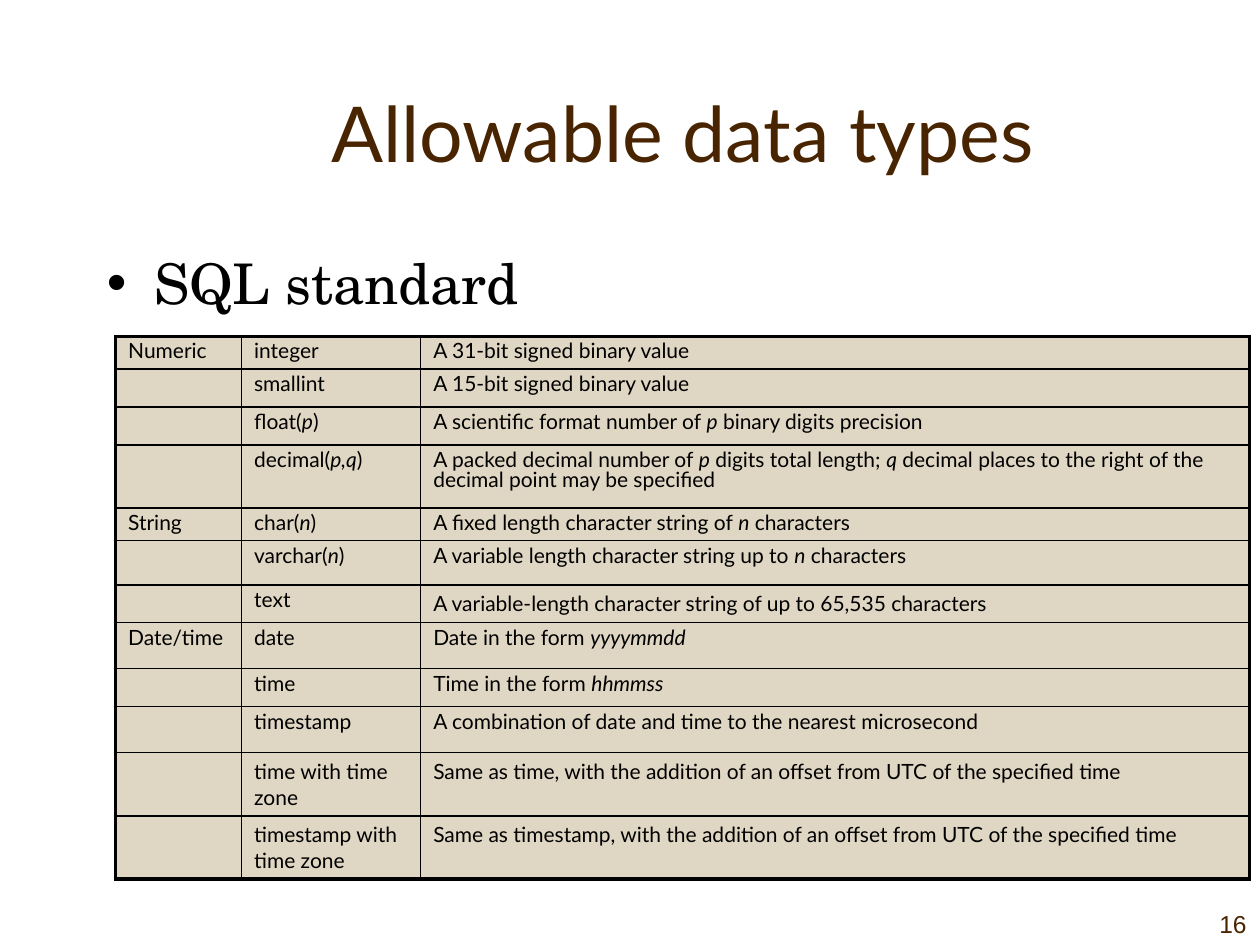
from typing import NamedTuple

import lxml.etree
import pptx
import pptx.dml.color
import pptx.enum.text
import pptx.oxml
import pptx.oxml.ns
import pptx.util

Cm = pptx.util.Cm
Pt = pptx.util.Pt
qn = pptx.oxml.ns.qn

BROWN = "482400"
BLACK = "000000"
SAND = "DFD6C3"
THIN, THICK = 1, 2.25
COLUMN_WIDTHS = (2.54, 3.61, 16.71)


class DataType(NamedTuple):
    family: str
    syntax: str
    meaning: str
    height: float
    loose: tuple[bool, bool] = (False, False)


DATA_TYPES = [
    DataType("Numeric", "integer", "A 31-bit signed binary value", 0.66),
    DataType("", "smallint", "A 15-bit signed binary value", 0.75),
    DataType("", "float(*p*)", "A scientific format number of *p* binary digits precision", 0.75),
    DataType("", "decimal(*p,q*)",
             "A packed decimal number of *p* digits total length; *q* decimal places "
             "to the right of the decimal point may be specified", 1.27),
    DataType("String", "char(*n*)", "A fixed length character string of *n* characters", 0.66),
    DataType("", "varchar(*n*)", "A variable length character string up to *n* characters", 0.89),
    DataType("", "text", "A variable-length character string of up to 65,535 characters",
             0.75, (False, True)),
    DataType("Date/time", "date", "Date in the form *yyyymmdd*", 0.93),
    DataType("", "time", "Time in the form *hhmmss*", 0.75),
    DataType("", "timestamp", "A combination of date and time to the nearest microsecond", 0.93),
    DataType("", "time with time zone",
             "Same as time, with the addition of an offset from UTC of the specified time",
             1.27, (True, True)),
    DataType("", "timestamp with time zone",
             "Same as timestamp, with the addition of an offset from UTC of the specified time",
             1.27, (True, True)),
]


def colour(value: str) -> pptx.dml.color.RGBColor:
    return pptx.dml.color.RGBColor.from_string(value)


def set_font(paragraph, name: str, size: float, value: str) -> None:
    paragraph.font.name = name
    paragraph.font.size = Pt(size)
    paragraph.font.color.rgb = colour(value)


def place(shape, left: float, top: float, width: float, height: float) -> None:
    shape.left, shape.top = Cm(left), Cm(top)
    shape.width, shape.height = Cm(width), Cm(height)


def add_borders(cell, widths: dict[str, float]) -> None:
    properties = cell._tc.get_or_add_tcPr()
    for side, width in widths.items():
        line = lxml.etree.SubElement(properties, qn(f"a:{side}"), w=str(int(Pt(width))))
        fill = lxml.etree.SubElement(line, qn("a:solidFill"))
        lxml.etree.SubElement(fill, qn("a:srgbClr"), val=BLACK)


def write_cell(cell, text: str, before: float, spacing: float) -> None:
    paragraph = cell.text_frame.paragraphs[0]
    if not text:
        lxml.etree.SubElement(paragraph._p, qn("a:endParaRPr"), sz="1200")
        return
    set_font(paragraph, "Lato", 12, BLACK)
    paragraph.space_before = Pt(before)
    paragraph.line_spacing = spacing
    for position, part in enumerate(text.split("*")):
        if part:
            run = paragraph.add_run()
            run.text = part
            if position % 2:
                run.font.italic = True


def add_type_table(slide, data_types: list[DataType]) -> None:
    last_row, last_column = len(data_types) - 1, len(COLUMN_WIDTHS) - 1
    table = slide.shapes.add_table(
        len(data_types), len(COLUMN_WIDTHS), Cm(2.33), Cm(6.78),
        Cm(sum(COLUMN_WIDTHS)), Cm(sum(item.height for item in data_types))).table
    table.first_row = False
    table.horz_banding = False
    for column, width in zip(table.columns, COLUMN_WIDTHS):
        column.width = Cm(width)
    for r, item in enumerate(data_types):
        table.rows[r].height = Cm(item.height)
        for c, text in enumerate((item.family, item.syntax, item.meaning)):
            cell = table.cell(r, c)
            add_borders(cell, {
                "lnL": THICK if c == 0 else THIN,
                "lnR": THICK if c == last_column else THIN,
                "lnT": THICK if r == 0 else THIN,
                "lnB": THICK if r == last_row else THIN,
            })
            cell.fill.solid()
            cell.fill.fore_color.rgb = colour(SAND)
            if c > 0 and item.loose[c - 1]:
                write_cell(cell, text, 2.4, 1.0)
            else:
                write_cell(cell, text, 9 if r == 0 else 5, 0.8)


presentation = pptx.Presentation()
presentation.slide_width, presentation.slide_height = Cm(25.4), Cm(19.05)
slide = presentation.slides.add_slide(presentation.slide_layouts[1])

page_number = slide.shapes.add_textbox(Cm(23.5), Cm(17.78), Cm(1.88), Cm(1.27))
page_number.text_frame.word_wrap = True
page_number.text_frame.vertical_anchor = pptx.enum.text.MSO_ANCHOR.BOTTOM
page_number.text_frame.text = "16"
page_number.text_frame.paragraphs[0].alignment = pptx.enum.text.PP_ALIGN.RIGHT
set_font(page_number.text_frame.paragraphs[0], "Arial", 14, BROWN)

heading = slide.shapes.title
place(heading, 2.97, 1.07, 21.59, 3.18)
heading.text_frame.text = "Allowable data types"
set_font(heading.text_frame.paragraphs[0], "Lato", 44, BROWN)

standard = slide.placeholders[1]
place(standard, 1.9, 4.88, 21.59, 11)
standard.text_frame.text = "SQL standard"
set_font(standard.text_frame.paragraphs[0], "TeX Gyre Schola", 32, BLACK)

add_type_table(slide, DATA_TYPES)

presentation.save("out.pptx")
